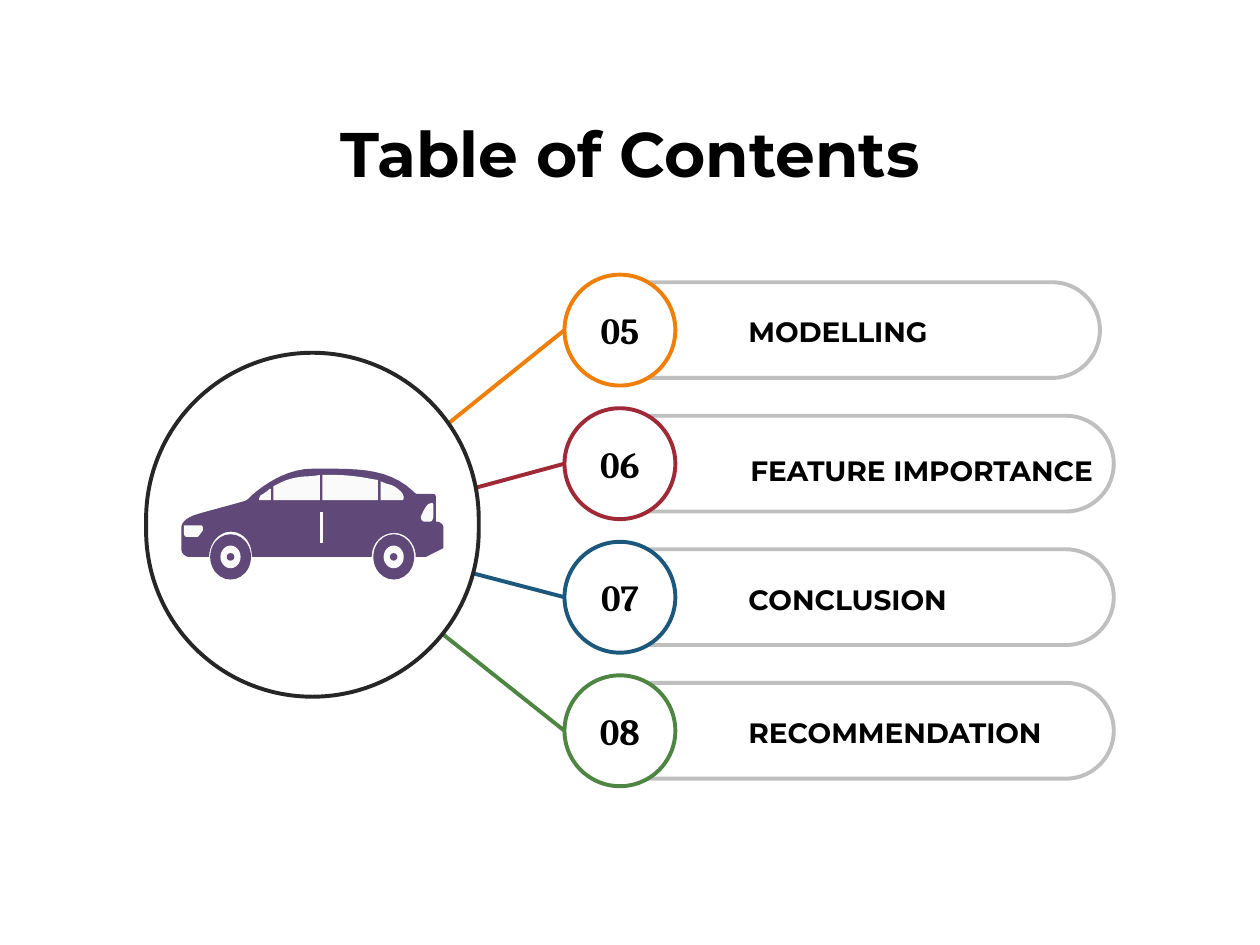
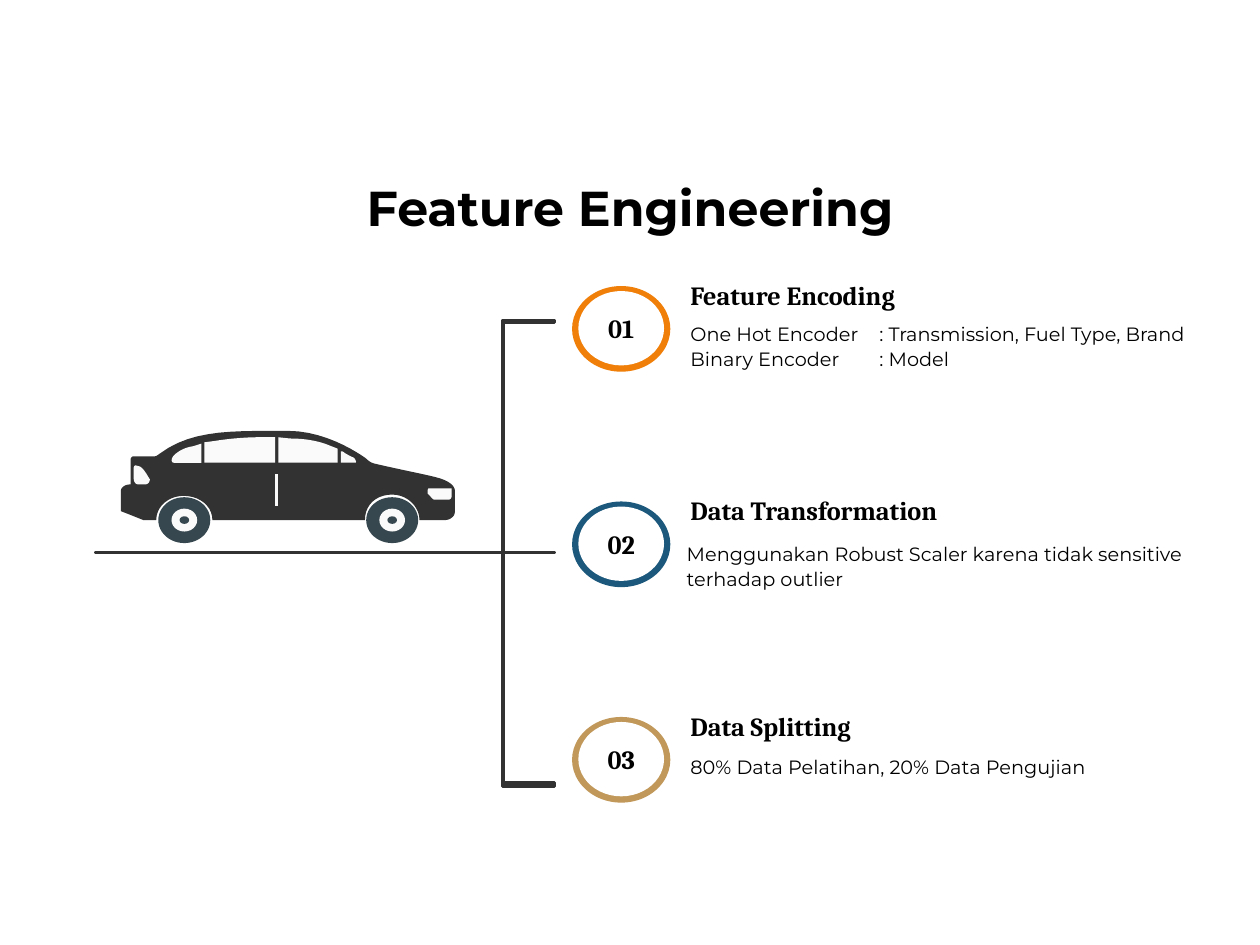
from dataclasses import dataclass

from lxml import etree
from pptx import Presentation
from pptx.dml.color import RGBColor
from pptx.enum.shapes import MSO_CONNECTOR, MSO_SHAPE
from pptx.enum.text import MSO_ANCHOR, MSO_AUTO_SIZE, PP_ALIGN
from pptx.oxml.ns import qn
from pptx.util import Inches, Pt

LEFT, CENTER = PP_ALIGN.LEFT, PP_ALIGN.CENTER
TOP, MIDDLE = MSO_ANCHOR.TOP, MSO_ANCHOR.MIDDLE
NO_AUTOFIT = MSO_AUTO_SIZE.NONE
OVAL, PILL = MSO_SHAPE.OVAL, MSO_SHAPE.ROUNDED_RECTANGLE
STRAIGHT = MSO_CONNECTOR.STRAIGHT
TITLE_ONLY = 5


@dataclass(frozen=True)
class Theme:
    sans: str = "Montserrat"
    serif: str = "Cambria"
    black: str = "000000"
    white: str = "FFFFFF"
    glass: str = "FAFAFA"
    gray: str = "BFBFBF"
    hub: str = "262626"
    charcoal: str = "323232"
    tire: str = "37474F"
    purple: str = "604878"
    orange: str = "F07F09"
    red: str = "9F2936"
    blue: str = "1B587C"
    green: str = "4E8542"
    tan: str = "C19859"
    contents_title: int = 36
    section_title: int = 28
    contents_number: int = 21
    contents_label: int = 16
    step_heading: int = 15
    step_detail: int = 11
    stroke: float = 2.25


THEME = Theme()

# Car facing left, in hundredths of an inch: a pair is a line end,
# six numbers are a Bezier curve.
CAR_WIDTH, CAR_HEIGHT = 208, 88
CAR_BODY = [
    (116, 0), (144, 0, 166, 1, 184, 18), (185, 19, 186, 20, 187, 20),
    (200, 20), (201, 20, 202, 21, 202, 23), (202, 42),
    (205, 42, 208, 44, 208, 47), (208, 63), (194, 70), (186, 70),
    (186, 59, 178, 51, 169, 51), (159, 51, 151, 59, 151, 70), (56, 70),
    (56, 58, 49, 50, 39, 50), (30, 50, 22, 59, 22, 70), (6, 70),
    (3, 70, 0, 67, 0, 64), (0, 47), (0, 47, -1, 40, 13, 36),
    (23, 33, 39, 29, 49, 26), (53, 25, 54, 23, 56, 21),
    (63, 15, 82, 0, 104, 0),
]
HEADLIGHT = [(2, 45), (16, 45), (17, 45, 17, 47, 17, 49), (14, 53), (13, 54),
             (4, 54), (3, 54, 2, 53, 2, 51)]
TAILLIGHT = [(199, 27), (200, 28, 200, 28, 200, 30), (200, 37),
             (200, 40, 199, 42, 197, 42), (193, 42),
             (191, 42, 190, 40, 190, 38), (192, 34, 193, 31, 196, 28)]
DOOR_GAP = [(110, 34), (112, 34), (112, 59), (110, 59)]
FRONT_QUARTER = [(71, 16), (71, 25), (62, 25), (61, 25, 62, 22, 63, 21),
                 (65, 20, 68, 18, 70, 16)]
FRONT_WINDOW = [(110, 5), (110, 25), (73, 25), (73, 14), (79, 11),
                (85, 8, 93, 6, 103, 6)]
REAR_WINDOW = [(121, 5), (130, 5, 140, 6, 150, 8), (156, 9), (156, 25),
               (112, 25), (112, 5)]
REAR_QUARTER = [(158, 10), (163, 12), (168, 13, 171, 15, 174, 18),
                (177, 21, 177, 25, 175, 25), (158, 25)]
CAR_LIGHT_PARTS = [HEADLIGHT, TAILLIGHT, DOOR_GAP, FRONT_QUARTER,
                   FRONT_WINDOW, REAR_WINDOW, REAR_QUARTER]
WHEEL_CENTERS = [(39, 70), (168.5, 70)]
WHEEL_RADII = [(16.2, 18), (8, 9), (3, 3)]


def color(value):
    return RGBColor.from_string(value)


def apply_format(target, values):
    for name, value in values.items():
        setattr(target, name, value)


def paint(shape, fill, line=None, width=THEME.stroke):
    shape.shadow.inherit = False
    shape.fill.solid()
    shape.fill.fore_color.rgb = color(fill)
    if line:
        shape.line.color.rgb = color(line)
        shape.line.width = Pt(width)
    else:
        shape.line.fill.background()


def write_text(shape, lines, size, font=THEME.sans, bold=True, align=LEFT,
               anchor=MIDDLE, spacing=1.0, margins=(0.07, 0.07, 0.07, 0.07)):
    left, top, right, bottom = map(Inches, margins)
    frame = shape.text_frame
    apply_format(frame, {
        "text": "\n".join(lines), "word_wrap": True, "auto_size": NO_AUTOFIT,
        "vertical_anchor": anchor, "margin_left": left, "margin_top": top,
        "margin_right": right, "margin_bottom": bottom,
    })
    for paragraph in frame.paragraphs:
        apply_format(paragraph, {"alignment": align, "line_spacing": spacing})
        for run in paragraph.runs:
            apply_format(run.font, {"name": font, "size": Pt(size), "bold": bold})
            run.font.color.rgb = color(THEME.black)


def add_title(slide, text, top, height, size):
    title = slide.shapes.title
    apply_format(title, {"left": 0, "top": Inches(top),
                         "width": Inches(10), "height": Inches(height)})
    write_text(title, [text], size, align=CENTER, anchor=TOP,
               margins=(0.1, 0.05, 0.1, 0.05))


def add_text(slide, box, lines, size, **style):
    text_box = slide.shapes.add_textbox(*map(Inches, box))
    write_text(text_box, lines, size, **style)
    return text_box


def add_preset(slide, kind, box, fill, line=None):
    shape = slide.shapes.add_shape(kind, *map(Inches, box))
    if kind == PILL:
        shape.adjustments[0] = 0.5
    paint(shape, fill, line)
    return shape


def add_number(shape, number, size):
    write_text(shape, [f"{number:02}"], size, font=THEME.serif, align=CENTER,
               margins=(0, 0.07, 0, 0.07))


def add_line(slide, start, end, line):
    connector = slide.shapes.add_connector(STRAIGHT, *map(Inches, start + end))
    connector.line.color.rgb = color(line)
    connector.line.width = Pt(THEME.stroke)
    etree.SubElement(connector._element.spPr, qn("a:effectLst"))


def add_polygon(slide, points, fill, line=None, width=THEME.stroke):
    corners = [(Inches(x), Inches(y)) for x, y in points]
    builder = slide.shapes.build_freeform(*corners[0], scale=1.0)
    builder.add_line_segments(corners[1:], close=True)
    paint(builder.convert_to_shape(), fill, line, width)


def add_tab_stop(text_box, position):
    for paragraph in text_box.text_frame.paragraphs:
        tabs = etree.SubElement(paragraph._p.get_or_add_pPr(), qn("a:tabLst"))
        etree.SubElement(tabs, qn("a:tab"), pos=str(Inches(position)), algn="l")


def flatten(outline, steps=10):
    """Turn an outline of lines and Bezier curves into points."""
    points = [outline[0]]
    for segment in outline[1:]:
        if len(segment) == 2:
            points.append(segment)
            continue
        controls = [points[-1], segment[:2], segment[2:4], segment[4:]]
        for step in range(1, steps + 1):
            t = step / steps
            weights = ((1 - t) ** 3, 3 * t * (1 - t) ** 2,
                       3 * t * t * (1 - t), t ** 3)
            points.append(tuple(
                sum(weight * control[axis]
                    for weight, control in zip(weights, controls))
                for axis in (0, 1)))
    return points


def add_car(slide, box, body, tire, faces_right=False):
    left, top, width, height = box
    scale_x, scale_y = width / CAR_WIDTH, height / CAR_HEIGHT

    def place(x, y):
        across = CAR_WIDTH - x if faces_right else x
        return left + across * scale_x, top + y * scale_y

    # Body, lights and windows
    parts = [(CAR_BODY, body)] + [(part, THEME.glass) for part in CAR_LIGHT_PARTS]
    for outline, fill in parts:
        add_polygon(slide, [place(*point) for point in flatten(outline)], fill)

    # Wheels: tire, rim and axle
    for wheel in WHEEL_CENTERS:
        x, y = place(*wheel)
        for (radius_x, radius_y), fill in zip(WHEEL_RADII, (tire, THEME.glass, tire)):
            half_x, half_y = radius_x * scale_x, radius_y * scale_y
            add_preset(slide, OVAL,
                       (x - half_x, y - half_y, 2 * half_x, 2 * half_y), fill)


def build_contents(slide):
    add_title(slide, "Table of Contents", 0.86, 0.71, THEME.contents_title)
    first_center, pitch, diameter = 2.62, 1.06, 0.88
    hub_center = (2.49, 4.22)
    # Label, accent, pill left, label offset, alignment
    entries = [
        ("MODELLING", THEME.orange, 4.5, 0, LEFT),
        ("FEATURE IMPORTANCE", THEME.red, 4.61, 0.04, CENTER),
        ("CONCLUSION", THEME.blue, 4.61, 0, LEFT),
        ("RECOMMENDATION", THEME.green, 4.61, 0, LEFT),
    ]
    for index, (label, accent, pill_left, drop, align) in enumerate(entries):
        center = first_center + index * pitch
        add_preset(slide, PILL, (pill_left, center - 0.38, 4.23, 0.76),
                   THEME.white, THEME.gray)
        add_line(slide, hub_center, (4.48, center), accent)
        circle = add_preset(slide, OVAL,
                            (4.48, center - diameter / 2, diameter, diameter),
                            THEME.white, accent)
        add_number(circle, index + 5, THEME.contents_number)
        add_text(slide, (5.49, center - 0.26 + drop, 3.35, 0.52), [label],
                 THEME.contents_label, align=align, spacing=1.1,
                 margins=(0.45, 0.07, 0.15, 0.07))

    # Hub with car
    add_preset(slide, PILL, (1.16, 2.8, 2.64, 2.73), THEME.white, THEME.hub)
    add_car(slide, (1.44, 3.72, 2.08, 0.88), THEME.purple, THEME.purple)


def build_feature_engineering(slide):
    add_title(slide, "Feature Engineering", 1.36, 0.57, THEME.section_title)
    first_top, pitch = 2.27, 1.71
    # Heading, accent, detail lines, detail box
    steps = [
        ("Feature Encoding", THEME.orange,
         ["One Hot Encoder \t: Transmission, Fuel Type, Brand",
          "Binary Encoder\t: Model"], (5.41, 2.44, 4.25, 0.6)),
        ("Data Transformation", THEME.blue,
         ["Menggunakan Robust Scaler karena tidak sensitive terhadap outlier"],
         (5.38, 4.1, 4.25, 0.77)),
        ("Data Splitting", THEME.tan,
         ["80% Data Pelatihan, 20% Data Pengujian"], (5.41, 5.69, 4.06, 0.77)),
    ]
    for index, (heading, accent, details, detail_box) in enumerate(steps):
        top = first_top + index * pitch
        add_text(slide, (5.41, top - 0.24, 3.39, 0.62), [heading],
                 THEME.step_heading, font=THEME.serif)
        detail = add_text(slide, detail_box, details, THEME.step_detail,
                          bold=False, spacing=1.1)
        if len(details) > 1:
            add_tab_stop(detail, 1.5)
        add_preset(slide, OVAL, (4.54, top, 0.78, 0.68), accent)
        center = add_preset(slide, OVAL, (4.59, top + 0.04, 0.68, 0.59), THEME.white)
        add_number(center, index + 1, THEME.step_heading)

    # Bracket and road
    bracket = [(3.99, 2.54), (3.99, 6.24), (4.4, 6.24), (4.4, 6.21),
               (4, 6.21), (4, 2.56), (4.4, 2.56), (4.4, 2.54)]
    road = [(0.76, 4.38), (0.76, 4.39), (4.4, 4.39), (4.4, 4.38)]
    for outline in (bracket, road):
        add_polygon(slide, outline, THEME.charcoal, THEME.charcoal, 1.5)
    add_car(slide, (0.96, 3.42, 2.65, 0.89), THEME.charcoal, THEME.tire,
            faces_right=True)


def main():
    presentation = Presentation()
    apply_format(presentation, {"slide_width": Inches(10),
                                "slide_height": Inches(7.5)})
    layout = presentation.slide_layouts[TITLE_ONLY]
    for build in (build_contents, build_feature_engineering):
        build(presentation.slides.add_slide(layout))
    presentation.save("out.pptx")


if __name__ == "__main__":
    main()
